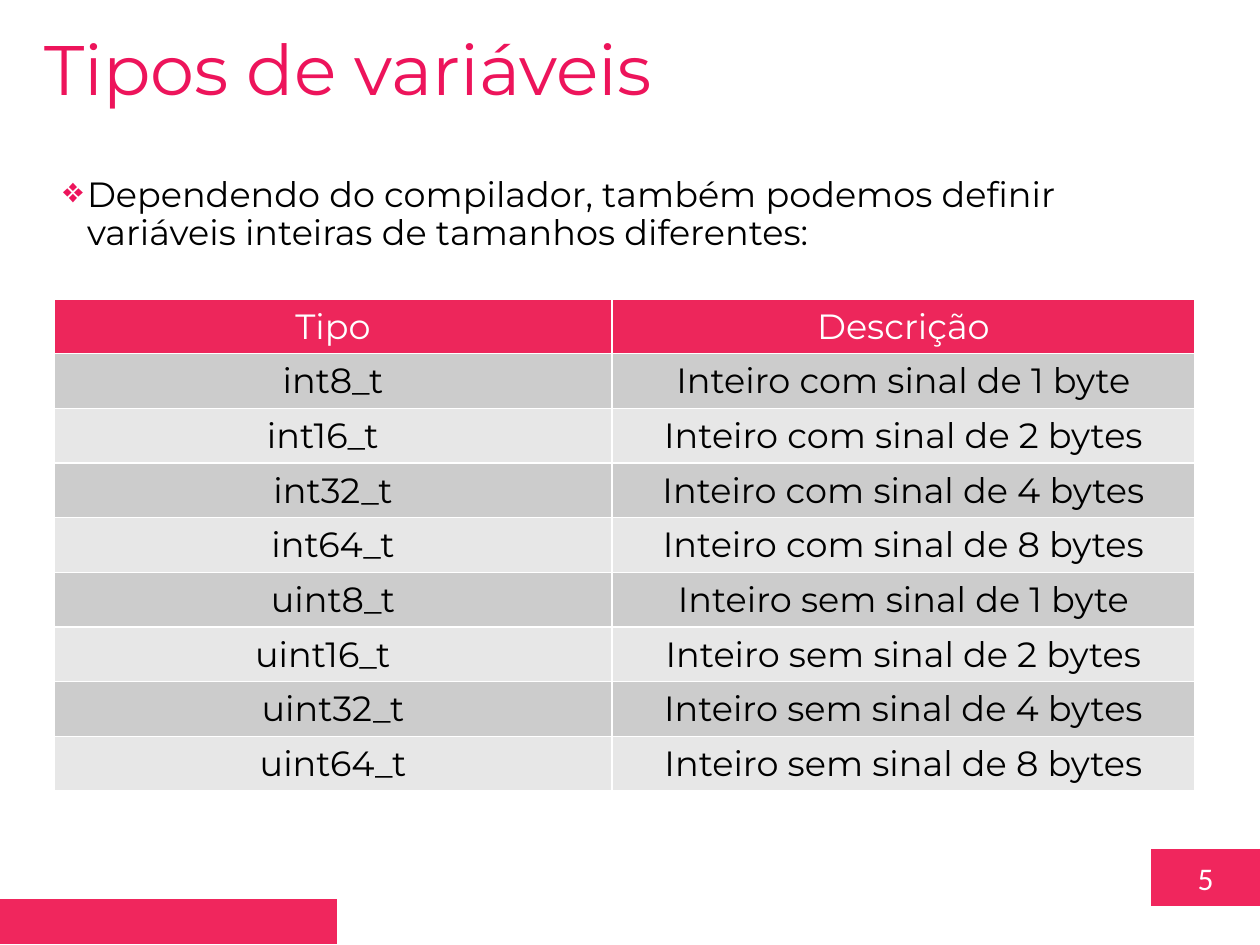
from lxml import etree
from pptx import Presentation
from pptx.dml.color import RGBColor
from pptx.enum.shapes import MSO_SHAPE
from pptx.enum.text import MSO_ANCHOR, PP_ALIGN
from pptx.oxml.ns import qn
from pptx.util import Pt

SCALE = 914400 / 126
RECTANGLE = MSO_SHAPE.RECTANGLE
LEFT, CENTER = PP_ALIGN.LEFT, PP_ALIGN.CENTER
TOP, MIDDLE = MSO_ANCHOR.TOP, MSO_ANCHOR.MIDDLE

WHITE = RGBColor(0xFF, 0xFF, 0xFF)
BLACK = RGBColor(0x00, 0x00, 0x00)
PINK = RGBColor(0xED, 0x14, 0x5B)
BAR_PINK = RGBColor(0xF0, 0x26, 0x5D)
HEADER_PINK = RGBColor(0xED, 0x26, 0x5B)
BANDS = (RGBColor(0xCC, 0xCC, 0xCC), RGBColor(0xE7, 0xE7, 0xE7))

HEADINGS = ("Tipo", "Descrição")
SIZES = ((8, "1 byte"), (16, "2 bytes"), (32, "4 bytes"), (64, "8 bytes"))
SIGNS = (("int", "com"), ("uint", "sem"))
COLUMN_WIDTHS = (558, 583)
ROW_HEIGHT = 53
MARGIN = 13
NARROW_SHIFT = 20


def emu(pixels):
    """Turn whole pixels into EMU."""
    return round(pixels * SCALE)


def write_text(frame, text, size=20, font="Montserrat", color=BLACK, align=LEFT):
    """Write one formatted paragraph and return it."""
    para = frame.paragraphs[0]
    para.alignment = align
    span = para.add_run()
    span.text = text
    span.font.name = font
    span.font.size = Pt(size)
    span.font.bold = False
    span.font.color.rgb = color
    return para


def add_text_box(page, box, text, anchor=TOP, inset=None, **style):
    """Add a wrapping text box and return its paragraph."""
    frame = page.shapes.add_textbox(*map(emu, box)).text_frame
    frame.word_wrap = True
    frame.vertical_anchor = anchor
    if inset is not None:
        frame.margin_left = frame.margin_right = emu(inset)
        frame.margin_top = frame.margin_bottom = emu(inset)
    return write_text(frame, text, **style)


def add_bar(page, box):
    """Add a plain pink rectangle."""
    bar = page.shapes.add_shape(RECTANGLE, *map(emu, box))
    bar.shadow.inherit = False
    bar.fill.solid()
    bar.fill.fore_color.rgb = BAR_PINK
    bar.line.fill.background()
    return bar


def add_footer(page, box):
    """Place the left bar and the page number within the footer box."""
    left, top, width, height = box
    add_bar(page, (left, top + height - 46, 337, 45))
    badge = add_bar(page, (left + width - 109, top, 109, 57))
    badge.text_frame.vertical_anchor = MIDDLE
    write_text(badge.text_frame, "5", size=18, font="Calibri", color=WHITE, align=CENTER)


def add_intro(page, box):
    """Add the introductory bullet with its hanging indent."""
    para = add_text_box(
        page, box, "Dependendo do compilador, também podemos definir "
        "variáveis inteiras de tamanhos diferentes:", inset=6)
    para.line_spacing = 0.9
    properties = para._p.get_or_add_pPr()
    properties.set("marL", str(emu(24)))
    properties.set("indent", str(emu(-24)))
    color = etree.SubElement(properties, qn("a:buClr"))
    etree.SubElement(color, qn("a:srgbClr"), val=str(PINK))
    etree.SubElement(properties, qn("a:buChar"), char="❖")


def add_borders(cell):
    """Give a cell thin white borders on all sides."""
    properties = cell._tc.get_or_add_tcPr()
    for index, side in enumerate(("lnL", "lnR", "lnT", "lnB")):
        line = etree.Element(qn(f"a:{side}"), w=str(Pt(1)))
        fill = etree.SubElement(line, qn("a:solidFill"))
        etree.SubElement(fill, qn("a:srgbClr"), val=str(WHITE))
        properties.insert(index, line)


def add_types_table(page, left, top):
    """Add the table of integer types and their descriptions."""
    rows = [HEADINGS] + [
        (f"{prefix}{bits}_t", f"Inteiro {sign} sinal de {size}")
        for prefix, sign in SIGNS for bits, size in SIZES]
    box = (left, top, sum(COLUMN_WIDTHS), ROW_HEIGHT * len(rows))
    table = page.shapes.add_table(len(rows), len(HEADINGS), *map(emu, box)).table
    for column, width in zip(table.columns, COLUMN_WIDTHS):
        column.width = emu(width)
    for row_index, texts in enumerate(rows):
        table.rows[row_index].height = emu(ROW_HEIGHT)
        is_header = row_index == 0
        for column_index, text in enumerate(texts):
            cell = table.cell(row_index, column_index)
            cell.fill.solid()
            cell.fill.fore_color.rgb = HEADER_PINK if is_header else BANDS[(row_index - 1) % 2]
            if text.endswith("16_t"):
                cell.margin_right = emu(MARGIN + NARROW_SHIFT)
            write_text(cell.text_frame, text, color=WHITE if is_header else BLACK, align=CENTER)
            add_borders(cell)


def main():
    """Build and save the slide."""
    deck = Presentation()
    deck.slide_width, deck.slide_height = emu(1260), emu(945)
    page = deck.slides.add_slide(deck.slide_layouts[6])
    add_footer(page, (0, 849, 1260, 96))
    add_text_box(page, (32, 19, 872, 97), "Tipos de variáveis", size=40, color=PINK)
    add_types_table(page, 54, 299)
    add_intro(page, (57, 171, 1139, 59))
    deck.save("out.pptx")


if __name__ == "__main__":
    main()
